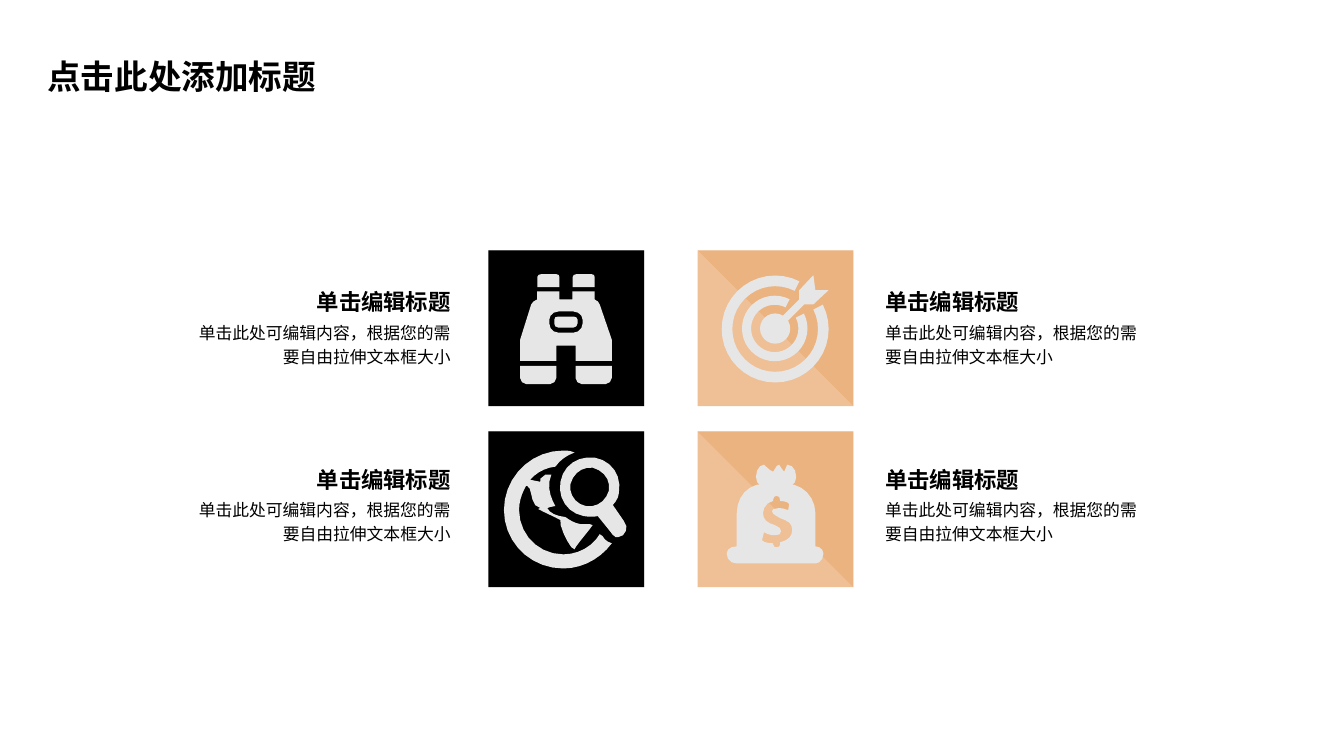
from math import cos, dist, radians, sin, sqrt
from lxml import etree
from pptx import Presentation
from pptx.dml.color import RGBColor
from pptx.enum.shapes import MSO_SHAPE as Preset
from pptx.enum.text import MSO_ANCHOR as Anchor, MSO_AUTO_SIZE as Fit, PP_ALIGN as Align
from pptx.oxml.ns import qn
from pptx.util import Pt

BLACK = RGBColor(0x00, 0x00, 0x00)
PEACH = RGBColor(0xEF, 0xC0, 0x96)
ORANGE = RGBColor(0xE2, 0x8D, 0x42)
PALE = RGBColor(0xE7, 0xE6, 0xE6)
HEAD = "单击编辑标题"
BODY = "单击此处可编辑内容，根据您的需要自由拉伸文本框大小"
SIDE = 111.3  # edge of a tile
UNIT = 0.72  # icon outlines count in hundredths of an inch
NEED = {"L": 2, "C": 6}  # numbers per line or curve step

# Binoculars: the foot and the eyepiece each occur twice
FOOT = "M 516 363 L 516 375 C 516 378 519 381 522 381 L 546 381 C 549 381 552 378 552 375 L 552 363"
EYE = "M 552 272 L 537 272 C 535 272 533 273 533 275 L 533 285 555 285 555 275 C 555 273 554 272 552 272"
PLATE = ("M 569 314 L 554 314 C 551 314 550 315 550 317 L 550 321 C 550 323 551 325 554 325 "
         "L 569 325 C 571 325 573 323 573 321 L 573 317 C 573 315 571 314 569 314")
TRUNK = ("M 595 302 C 595 300 592 298 590 297 L 590 289 568 289 568 297 555 297 555 289 533 289 533 297 "
         "C 531 298 527 300 527 302 L 516 337 516 358 552 358 552 343 571 343 571 358 607 358 607 337 "
         "M 578 321 C 578 326 574 330 569 330 L 554 330 C 549 330 545 326 545 321 L 545 317 "
         "C 545 313 549 309 554 309 L 569 309 C 574 309 578 313 578 317")

# Target
DART = "M 809 288 L 807 273 793 288 793 297 766 324 771 329 798 302 807 302 822 288"

# Money bag
BAND = ("M 787 486 C 787 488 786 490 783 490 L 755 490 C 754 490 753 488 753 486 "
        "C 753 484 754 483 755 483 L 783 483 C 786 483 787 484 787 486")
RUFF = ("M 790 473 C 790 479 786 483 781 483 L 758 483 C 754 483 750 479 750 473 C 750 466 754 461 758 461 "
        "C 758 461 765 468 767 468 C 769 466 770 461 773 461 C 774 462 777 468 778 468 "
        "C 779 466 781 461 781 461 C 786 461 790 466 790 473")
SACK = ("M 817 549 C 817 555 813 559 809 559 L 731 559 C 725 559 721 555 721 549 C 721 545 725 542 731 542 "
        "L 731 509 C 731 493 742 480 758 480 L 781 480 C 796 480 809 493 809 509 L 809 542 "
        "C 813 542 817 545 817 549 "
        "M 786 526 C 786 519 782 517 774 514 769 511 766 510 766 507 766 506 767 504 773 504 "
        "777 504 781 506 782 506 L 783 500 C 782 498 778 497 774 497 L 774 496 "
        "C 774 493 773 492 770 492 769 492 767 493 767 496 L 767 497 C 761 498 757 504 757 509 "
        "757 515 761 519 769 521 773 523 775 524 775 527 775 530 773 531 769 531 "
        "765 531 761 530 758 528 L 756 536 C 758 538 762 539 767 539 L 767 540 "
        "C 767 542 769 543 770 543 773 543 774 542 774 540 L 774 538 C 782 536 786 532 786 526")

# Globe and lens
LENS = ("M 618 531 C 615 533 612 533 611 533 608 531 607 530 606 528 L 593 512 C 589 513 585 513 579 512 "
        "563 509 553 494 556 478 559 461 574 452 590 454 607 457 617 472 614 489 614 493 611 498 608 501 "
        "L 619 517 C 623 522 622 527 618 531 "
        "M 581 502 C 592 504 601 497 604 487 606 476 599 467 588 464 578 463 569 469 566 480 "
        "564 490 571 500 581 502")
GLOBE = ("M 598 532 L 595 530 C 588 542 574 550 559 550 534 550 515 530 515 506 515 497 518 489 522 482 "
         "L 523 482 C 529 484 525 502 536 504 L 534 505 C 539 508 551 513 556 516 "
         "554 521 566 546 570 545 570 543 584 527 588 521 L 585 520 576 520 "
         "C 570 519 565 516 561 513 552 512 545 509 543 504 544 504 548 502 551 502 547 495 544 487 545 478 "
         "L 547 471 541 471 C 534 475 537 475 536 478 "
         "L 526 476 C 532 469 541 464 551 463 556 456 562 452 570 449 566 447 562 447 559 447 "
         "526 447 500 474 500 506 500 538 526 564 559 564 578 564 596 554 607 539 603 538 599 535 598 532")


def paint(shape, color):
    shape.shadow.inherit = False
    shape.fill.solid()
    shape.fill.fore_color.rgb = color
    shape.line.fill.background()


def curve(a, b, c, d):
    steps = max(1, int(sqrt(dist(a, d))))
    for i in range(1, steps + 1):
        t = i / steps
        s = 1 - t
        yield tuple(s**3 * p + 3 * s * s * t * q + 3 * s * t * t * r + t**3 * e
                    for p, q, r, e in zip(a, b, c, d))


def trace(text):
    """Turn one outline of lines and curves into points."""
    pts, nums, mode = [], [], "L"
    for word in text.split():
        if word in NEED:
            mode = word
            continue
        nums.append(float(word))
        if len(nums) == NEED[mode]:
            ends = list(zip(nums[::2], nums[1::2]))
            pts += list(curve(pts[-1], *ends)) if mode == "C" else ends
            nums = []
    return pts


def draw(slide, loops, color):
    """Fill closed loops of points; later loops are holes."""
    loops = [[(Pt(x), Pt(y)) for x, y in loop] for loop in loops]
    pen = slide.shapes.build_freeform(*loops[0][0], scale=1.0)
    for i, loop in enumerate(loops):
        if i:
            pen.move_to(*loop[0])
        pen.add_line_segments(loop[1:], close=True)
    shape = pen.convert_to_shape()
    paint(shape, color)
    return shape


def icon(slide, text, shift=0):
    loops = [trace(part) for part in text.split("M")[1:]]
    draw(slide, [[((x + shift) * UNIT, y * UNIT) for x, y in loop] for loop in loops], PALE)


def ring(slide, x, y, inner, outer):
    """Draw a ring that is open at the upper right."""
    def arc(r, turns):
        return [(x + r * cos(radians(a)), y + r * sin(radians(a))) for a in turns]
    turns = range(-27, 298, 9)
    draw(slide, [arc(outer, turns) + arc(inner, reversed(turns))], PALE)


def tile(slide, x, y, base, tint):
    square = slide.shapes.add_shape(Preset.RECTANGLE, Pt(x), Pt(y), Pt(SIDE), Pt(SIDE))
    paint(square, base)
    half = draw(slide, [[(x, y), (x + SIDE, y), (x + SIDE, y + SIDE)]], tint)
    tone = half.fill._xPr.find(qn("a:solidFill"))[0]
    etree.SubElement(tone, qn("a:alpha"), val="25000")


def write(frame, text, size, face, bold, align):
    frame.word_wrap = True
    frame.auto_size = Fit.NONE
    frame.vertical_anchor = Anchor.TOP
    para = frame.paragraphs[0]
    para.alignment = align
    run = para.add_run()
    run.text = text
    font = run.font
    font.size, font.bold, font.name = Pt(size), bold, face
    font.color.rgb = BLACK
    etree.SubElement(run._r.get_or_add_rPr(), qn("a:ea"), typeface=face)
    return para


def label(slide, x, y, wide, high, text, size, bold, align):
    box = slide.shapes.add_textbox(Pt(x), Pt(y), Pt(wide), Pt(high))
    frame = box.text_frame
    frame.margin_left = frame.margin_right = frame.margin_top = frame.margin_bottom = 0
    write(frame, text, size, "Arial", bold, align).line_spacing = 1.2


def main():
    deck = Presentation()
    deck.slide_width, deck.slide_height = Pt(960), Pt(540)
    slide = deck.slides.add_slide(deck.slide_layouts[5])

    # Title
    title = slide.shapes.title
    title.left, title.top, title.width, title.height = Pt(26.6), Pt(36), Pt(216.7), Pt(36)
    write(title.text_frame, "点击此处添加标题", 24, "Noto Sans CJK SC", True, Align.LEFT)

    # Tiles and their texts
    for y, top in ((178.8, 202.3), (308.2, 329)):
        tile(slide, 348.8, y, BLACK, BLACK)
        tile(slide, 498.3, y, PEACH, ORANGE)
        for x, align in ((138.4, Align.RIGHT), (632.2, Align.LEFT)):
            label(slide, x, top, 183.6, 23, HEAD, 16, True, align)
            label(slide, x, top + 25.2, 183.6, 34.6, BODY, 12, False, align)

    # Binoculars
    for part, shift in ((FOOT, 0), (FOOT, 55), (EYE, 0), (EYE, 35), (PLATE, 0), (TRUNK, 0)):
        icon(slide, part, shift)

    # Target
    disc = slide.shapes.add_shape(Preset.OVAL, Pt(542.9), Pt(223.9), Pt(21.6), Pt(21.6))
    paint(disc, PALE)
    ring(slide, 553.7, 235, 30.6, 38.2)
    ring(slide, 553.4, 234.6, 16.9, 23.4)

    # Money bag, globe and lens, and the dart
    for part in (BAND, RUFF, SACK, GLOBE, LENS, DART):
        icon(slide, part)

    deck.save("out.pptx")


if __name__ == "__main__":
    main()
